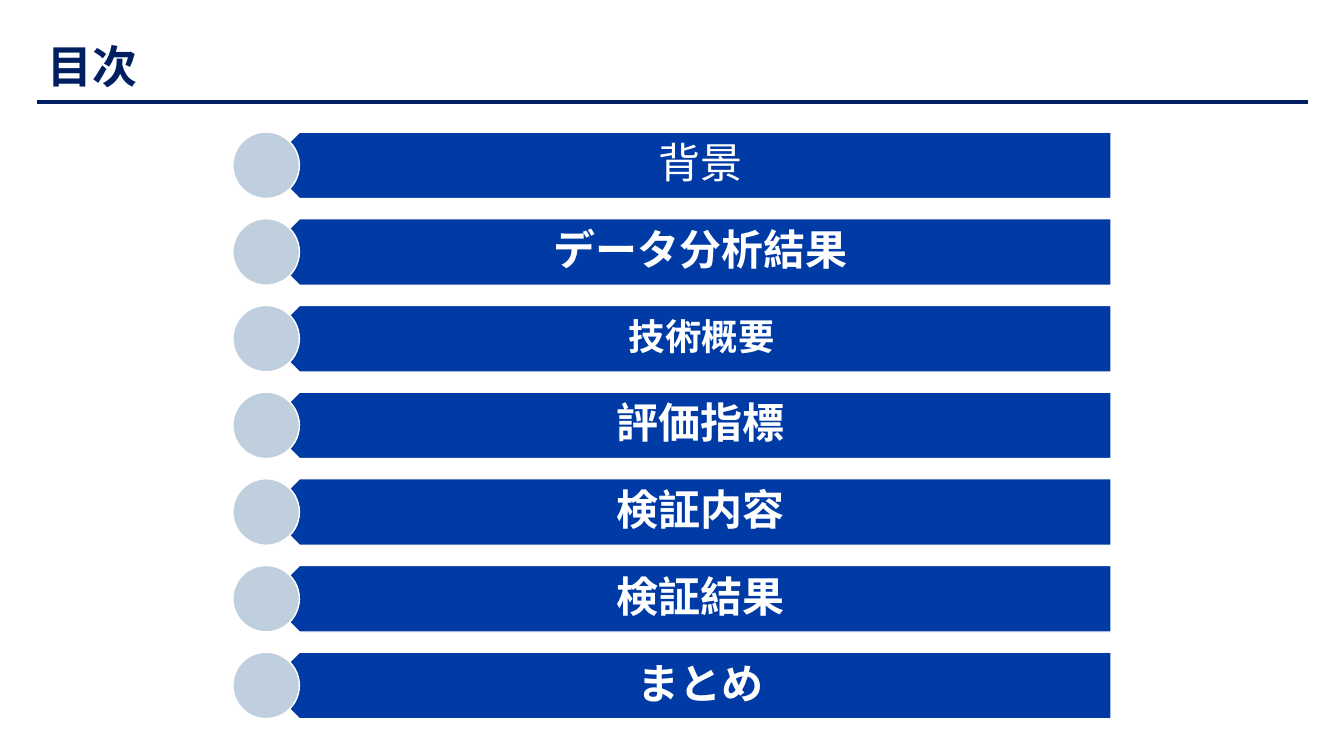
from lxml.etree import SubElement
from pptx import Presentation
from pptx.dml.color import RGBColor
from pptx.enum.shapes import MSO_CONNECTOR, MSO_SHAPE
from pptx.enum.text import MSO_ANCHOR as Anchor, PP_ALIGN as Align
from pptx.oxml.ns import qn
from pptx.util import Inches, Pt

THEME = {
    "font": "Noto Sans CJK JP",
    "navy": RGBColor.from_string("001F60"),
    "blue": RGBColor.from_string("003BA5"),
    "pale": RGBColor.from_string("C0CFDD"),
    "white": RGBColor.from_string("FFFFFF"),
    "title_size": 32,
    "item_size": 30,
    "small_item_size": 26,
}

AGENDA = [
    ("背景", THEME["item_size"], False),
    ("データ分析結果", THEME["item_size"], True),
    ("技術概要", THEME["small_item_size"], True),
    ("評価指標", THEME["item_size"], True),
    ("検証内容", THEME["item_size"], True),
    ("検証結果", THEME["item_size"], True),
    ("まとめ", THEME["item_size"], True),
]
FIRST_TOP, ROW_STEP, ROW_HEIGHT = 1.31, 0.86, 0.66


def add_text(shapes, left, top, width, height, text, size, color, bold):
    box = shapes.add_textbox(Inches(left), Inches(top), Inches(width), Inches(height))
    frame = box.text_frame
    frame.word_wrap = True
    frame.vertical_anchor = Anchor.MIDDLE
    paragraph = frame.paragraphs[0]
    run = paragraph.add_run()
    run.text = text
    run.font.size = Pt(size)
    run.font.bold = bold
    run.font.color.rgb = color
    run.font.name = THEME["font"]
    SubElement(run.font._element, qn("a:ea"), typeface=THEME["font"])
    return frame


def add_filled_shape(shapes, kind, left, top, width, height, color):
    shape = shapes.add_shape(kind, Inches(left), Inches(top), Inches(width), Inches(height))
    shape.shadow.inherit = False
    shape.fill.solid()
    shape.fill.fore_color.rgb = color
    shape.line.color.rgb = THEME["white"]
    shape.line.width = Pt(1)
    return shape


presentation = Presentation()
presentation.slide_width = Inches(13.33)
presentation.slide_height = Inches(7.5)
slide = presentation.slides.add_slide(presentation.slide_layouts[6])

add_text(slide.shapes, 0.37, 0.3, 12.6, 0.71, "目次",
         THEME["title_size"], THEME["navy"], True)

agenda_shapes = slide.shapes.add_group_shape().shapes
for index, (label, size, bold) in enumerate(AGENDA):
    top = FIRST_TOP + index * ROW_STEP
    bar = add_filled_shape(agenda_shapes, MSO_SHAPE.PENTAGON,
                           2.64, top, 8.38, ROW_HEIGHT, THEME["blue"])
    bar.rotation = 180

    frame = add_text(agenda_shapes, 2.81, top, 8.21, ROW_HEIGHT,
                     label, size, THEME["white"], bold)
    small = size == THEME["small_item_size"]
    frame.margin_left = Inches(0.29)
    frame.margin_right = Inches(0.2 if small else 0.23)
    frame.margin_top = frame.margin_bottom = Inches(0.11 if small else 0.12)
    paragraph = frame.paragraphs[0]
    paragraph.alignment = Align.CENTER
    paragraph.line_spacing = 0.9
    space_after = SubElement(paragraph._p.get_or_add_pPr(), qn("a:spcAft"))
    SubElement(space_after, qn("a:spcPct"), val="35000")

    add_filled_shape(agenda_shapes, MSO_SHAPE.OVAL,
                     2.31, top, ROW_HEIGHT, ROW_HEIGHT, THEME["pale"])

title_rule = slide.shapes.add_connector(
    MSO_CONNECTOR.STRAIGHT, Inches(0.37), Inches(1.01), Inches(12.97), Inches(1.01))
title_rule.line.color.rgb = THEME["navy"]
title_rule.line.width = Pt(3)
SubElement(title_rule._element.spPr, qn("a:effectLst"))

presentation.save("out.pptx")
